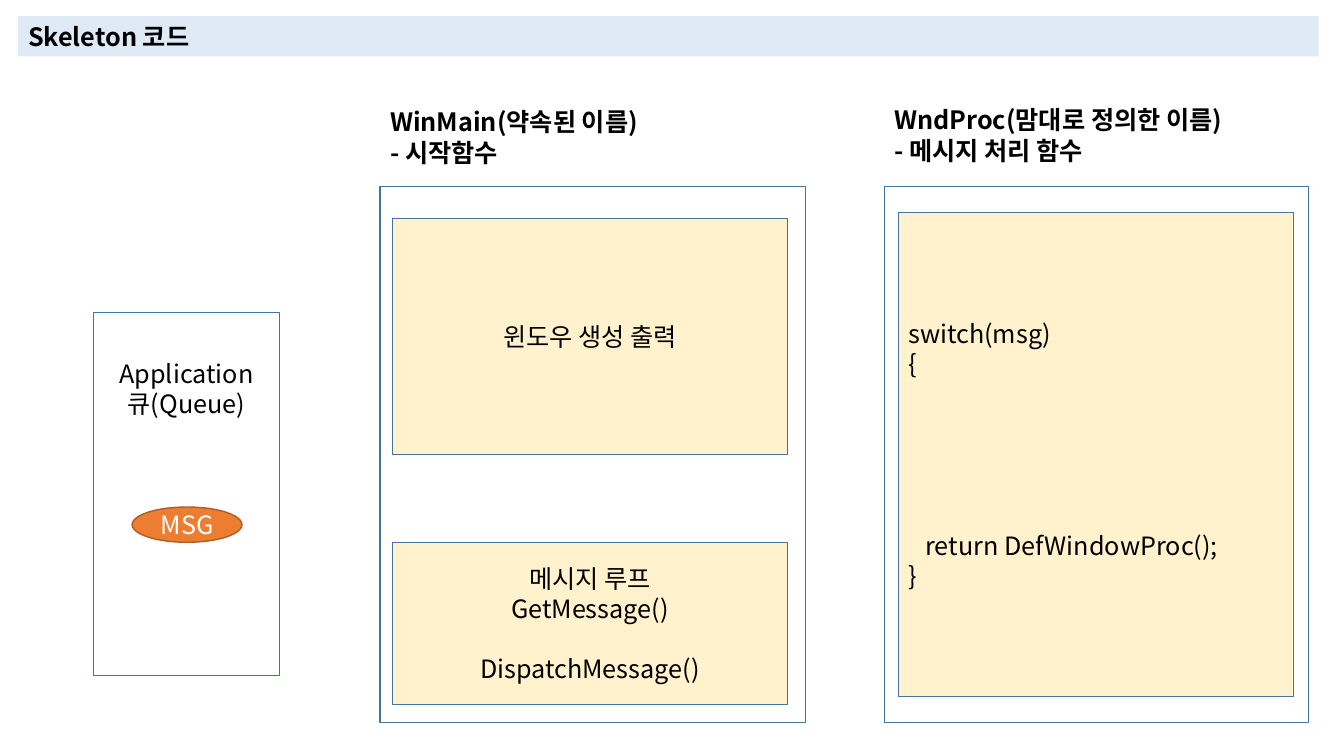
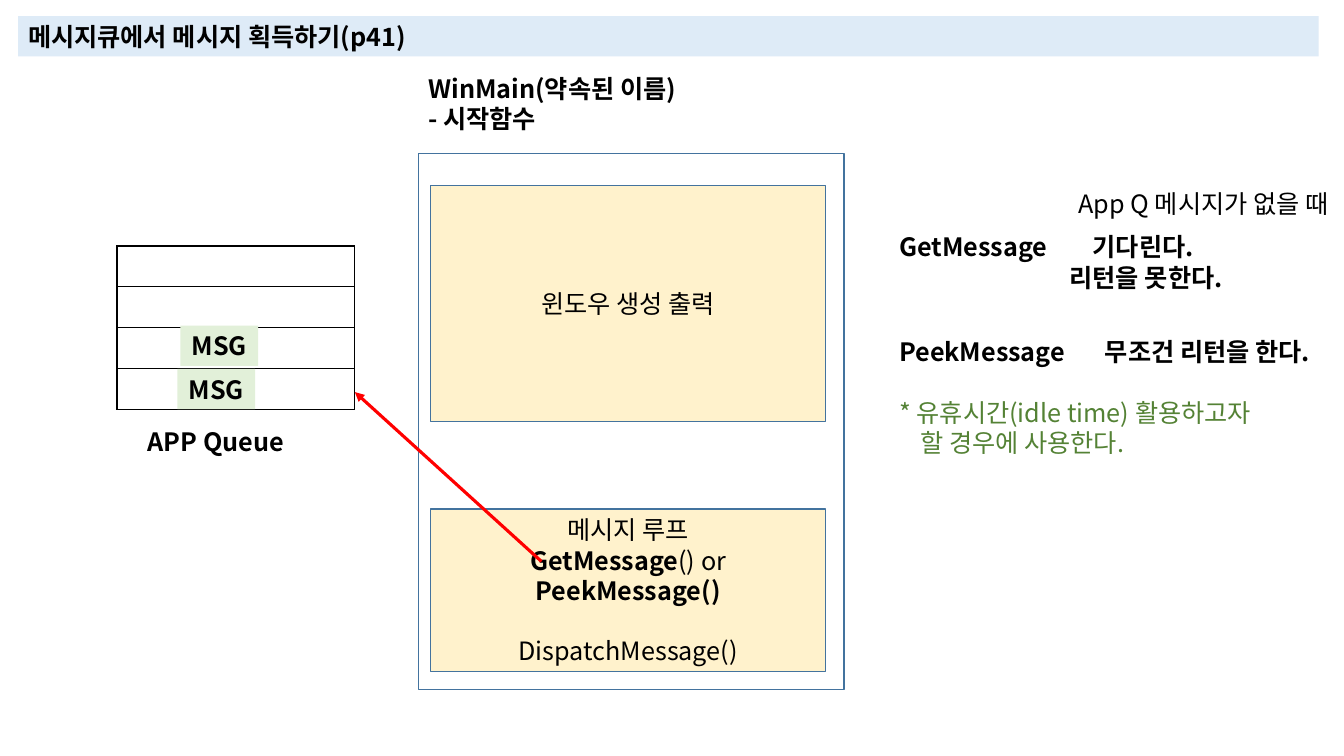
import pptx
import pptx.util
import pptx.dml.color
import pptx.enum.shapes
import pptx.enum.text
import pptx.oxml
import pptx.oxml.ns

PX = 9144  # EMU in one px, 100 px to the inch
FONT, SIZE, LINE = "Noto Sans CJK KR", 18, 21.6
BLACK, WHITE, BLUE, CREAM = "000000", "FFFFFF", "43739E", "FFF2CC"
BAND, ORANGE, BROWN = "DEEBF7", "ED7D31", "AF5C24"
MINT, GREEN, RED = "E2F0D9", "548235", "FF0000"
SHAPE = pptx.enum.shapes.MSO_SHAPE
ANCHOR = pptx.enum.text.MSO_ANCHOR
ALIGN = pptx.enum.text.PP_ALIGN

# Content: a paragraph is a text or (text, options); |bars| enclose bold text.
# Options: gap = blank lines above, left = indent, tab = tab stop, color
TITLES = ["|Skeleton 코드|", "|메시지큐에서 메시지 획득하기(p41)|"]
START = ["|WinMain(약속된 이름)|", "|- 시작함수|"]
MAKE = ["윈도우 생성 출력"]
SEND = ("DispatchMessage()", {"gap": 1})
LOOPS = [
    ["메시지 루프", "GetMessage()", SEND],
    ["메시지 루프", "|GetMessage|() or", "|PeekMessage()|", SEND],
]
PROC = ["|WndProc(맘대로 정의한 이름)|", "|- 메시지 처리 함수|"]
SWITCH = ["switch(msg)", "{",
          ("return DefWindowProc();", {"gap": 5, "left": 17}), "}"]
QUEUE = ["Application", "큐(Queue)"]
WAIT = [("|GetMessage\t기다린다.|", {"tab": 192}),
        ("|리턴을 못한다.|", {"left": 169})]
PEEK = [("|PeekMessage\t무조건 리턴을 한다.|", {"tab": 204}),
        ("* 유휴시간(idle time) 활용하고자", {"gap": 1, "color": GREEN}),
        ("할 경우에 사용한다.", {"left": 21, "color": GREEN})]
EMPTY = ["App Q 메시지가 없을 때"]
MARKS = [(176, 366), (179, 323)]  # messages waiting in the queue


def emu(*vals):
    return [round(v * PX) for v in vals]


def rgb(code):
    return pptx.dml.color.RGBColor.from_string(code)


def add_xml(node, tag, inner="", **attrs):
    text = " ".join(f'{k}="{v}"' for k, v in attrs.items())
    space = pptx.oxml.ns.nsdecls("a")
    node.append(pptx.oxml.parse_xml(
        f"<a:{tag} {space} {text}>{inner}</a:{tag}>"))


def write(frame, paras, color=BLACK, center=False, mid=False, pad=(10, 5)):
    """Fill a text frame with styled paragraphs."""
    frame.word_wrap = True
    frame.vertical_anchor = ANCHOR.MIDDLE if mid else ANCHOR.TOP
    frame.margin_left = frame.margin_right = emu(pad[0])[0]
    frame.margin_top, frame.margin_bottom = emu(pad[1], 5)
    for i, item in enumerate(paras):
        text, opts = item if isinstance(item, tuple) else (item, {})
        para = frame.add_paragraph() if i else frame.paragraphs[0]
        para.alignment = ALIGN.CENTER if center else ALIGN.LEFT
        para.line_spacing = pptx.util.Pt(LINE)
        para.space_before = pptx.util.Pt(LINE * opts.get("gap", 0))
        props = para._p.get_or_add_pPr()
        if "left" in opts:
            props.set("marL", str(emu(opts["left"])[0]))
            props.set("indent", "0")
        if "tab" in opts:
            stop = emu(opts["tab"])[0]
            add_xml(props, "tabLst", f'<a:tab pos="{stop}" algn="l"/>')
        for n, part in enumerate(text.split("|")):
            if part:
                run = para.add_run()
                run.text = part
                run.font.name, run.font.size = FONT, pptx.util.Pt(SIZE)
                run.font.bold = n % 2 == 1
                run.font.color.rgb = rgb(opts.get("color", color))
                add_xml(run._r.get_or_add_rPr(), "ea", typeface=FONT)


def box(slide, at, fill, line=BLUE, paras=(), kind=SHAPE.RECTANGLE, **style):
    shape = slide.shapes.add_shape(kind, *emu(*at))
    shape.shadow.inherit = False
    shape.fill.solid()
    shape.fill.fore_color.rgb = rgb(fill)
    if line:
        shape.line.color.rgb = rgb(line)
        shape.line.width = pptx.util.Pt(1)
    else:
        shape.line.fill.background()
    write(shape.text_frame, paras, **style)


def label(slide, at, paras, **style):
    write(slide.shapes.add_textbox(*emu(*at)).text_frame, paras, **style)


def start(deck, title):
    """New slide with the title band."""
    slide = deck.slides.add_slide(deck.slide_layouts[6])
    box(slide, (18, 16, 1290, 40), BAND, None, [title])
    return slide


def win_main(slide, x, y, loop):
    """Column of the start function."""
    box(slide, (x, y, 422, 532), WHITE)
    label(slide, (x, y - 84, 422, 71), START)
    for top, high, paras in ((32, 234, MAKE), (353, 161, loop)):
        box(slide, (x + 12, y + top, 392, high), CREAM,
            paras=paras, center=True, mid=True)


def grid(slide, at, rows):
    """Empty one-column table with black borders."""
    table = slide.shapes.add_table(rows, 1, *emu(*at)).table
    table.first_row = table.horz_banding = False
    ink = f'<a:solidFill><a:srgbClr val="{BLACK}"/></a:solidFill>'
    for cell in table.iter_cells():
        cell.margin_top = cell.margin_bottom = 0
        for side in ("lnL", "lnR", "lnT", "lnB"):
            add_xml(cell._tc.get_or_add_tcPr(), side, ink, w=12700)
        cell.fill.background()


def arrow(slide, *ends):
    line = slide.shapes.add_connector(
        pptx.enum.shapes.MSO_CONNECTOR.STRAIGHT, *emu(*ends))
    line.line.color.rgb = rgb(RED)
    line.line.width = pptx.util.Pt(2.25)
    add_xml(line.line._get_or_add_ln(), "tailEnd", type="triangle")
    add_xml(line._element.spPr, "effectLst")


def skeleton(deck):
    slide = start(deck, TITLES[0])
    win_main(slide, 377, 185, LOOPS[0])
    # Message handler
    box(slide, (877, 185, 421, 532), WHITE)
    label(slide, (877, 99, 421, 71), PROC)
    box(slide, (891, 211, 392, 480), CREAM, paras=SWITCH, mid=True)
    # Application queue
    box(slide, (93, 310, 184, 360), WHITE, paras=QUEUE,
        center=True, pad=(10, 45))
    box(slide, (131, 503, 109, 35), ORANGE, BROWN, ["MSG"], SHAPE.OVAL,
        color=WHITE, center=True, mid=True, pad=(0, 5))


def fetch(deck):
    slide = start(deck, TITLES[1])
    # Queue with its messages
    grid(slide, (116, 244, 236, 162), 4)
    label(slide, (129, 418, 170, 40), ["|APP Queue|"], center=True)
    for x, y in MARKS:
        box(slide, (x, y, 77, 40), MINT, None, ["|MSG|"],
            center=True, pad=(0, 5))
    win_main(slide, 415, 152, LOOPS[1])
    arrow(slide, 537, 557, 352, 389)
    # Comparison of the two calls
    label(slide, (882, 225, 427, 71), WAIT)
    label(slide, (882, 329, 462, 131), PEEK)
    label(slide, (1044, 182, 299, 40), EMPTY, center=True)


def main():
    deck = pptx.Presentation()
    deck.slide_width, deck.slide_height = emu(1333, 750)
    skeleton(deck)
    fetch(deck)
    deck.save("out.pptx")


if __name__ == "__main__":
    main()
